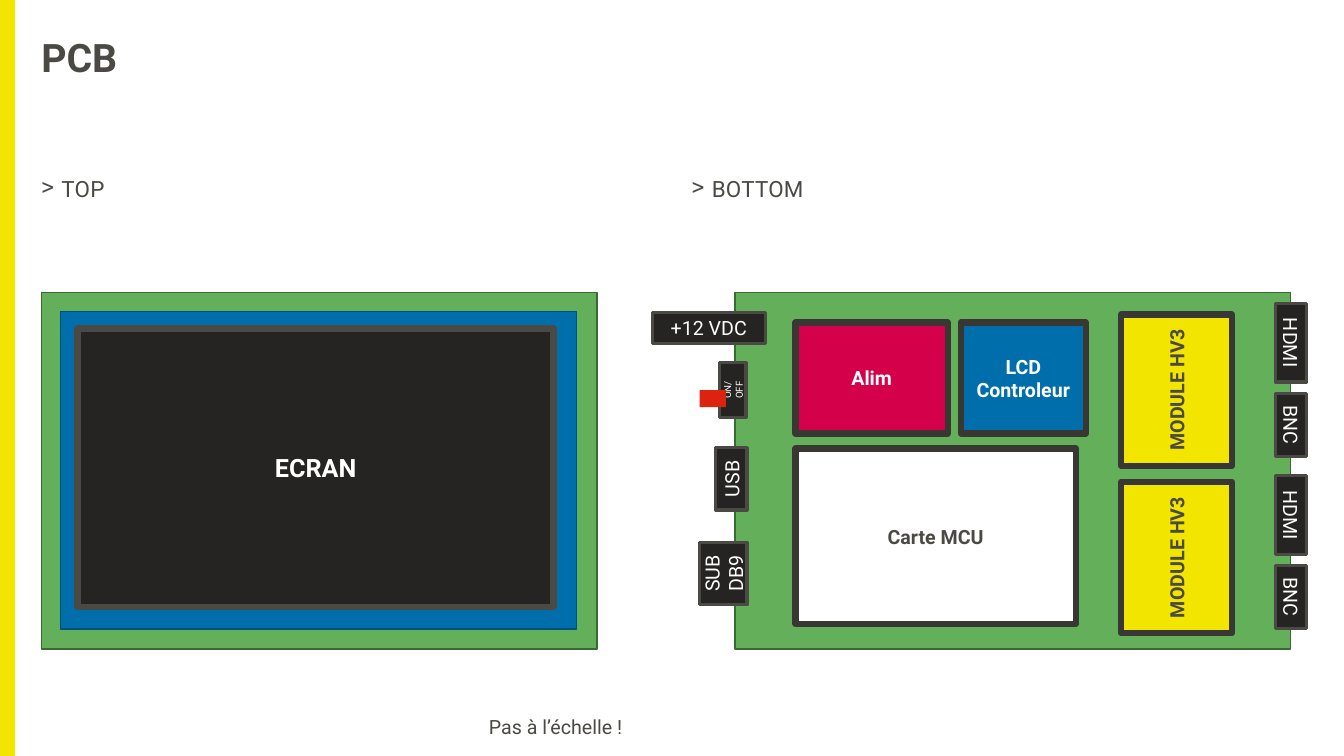
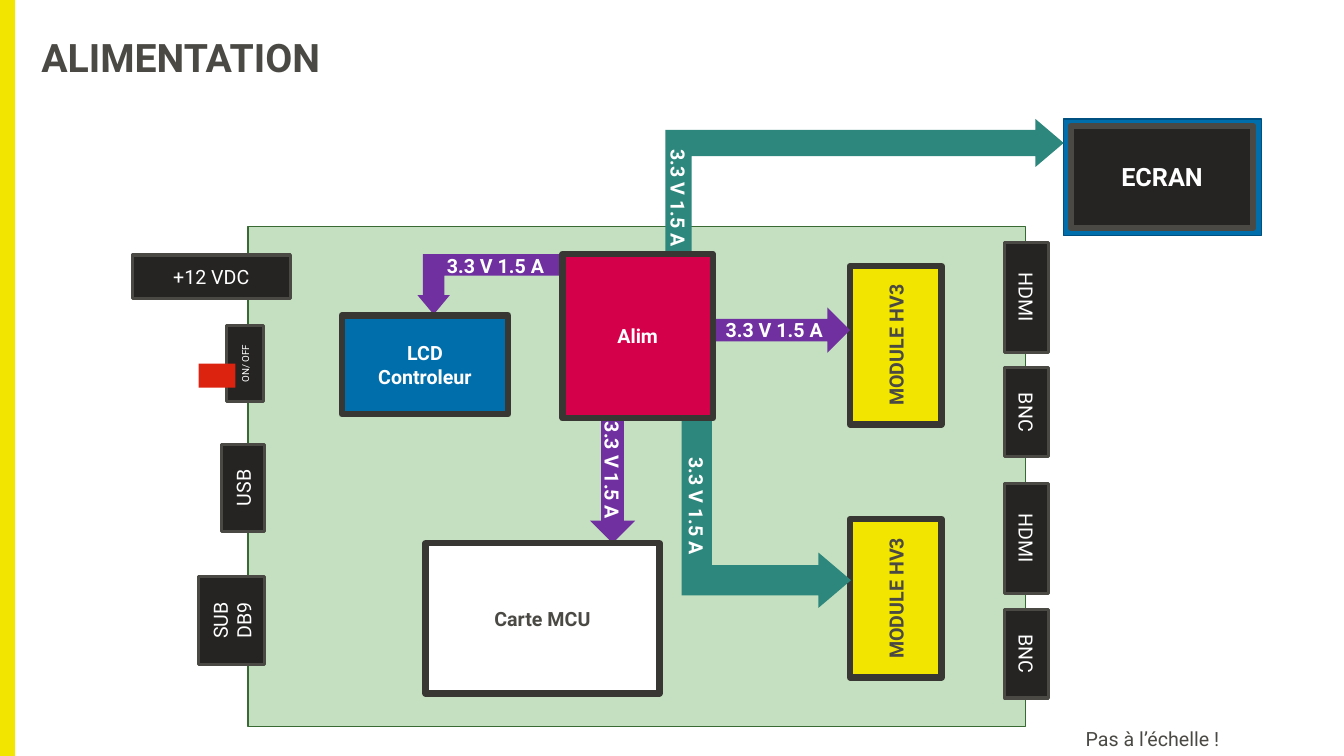
from pptx import Presentation
from pptx.dml.color import RGBColor
from pptx.enum.shapes import MSO_SHAPE
from pptx.enum.text import MSO_ANCHOR, MSO_AUTO_SIZE, PP_ALIGN
from pptx.oxml import parse_xml
from pptx.oxml.ns import nsdecls, qn
from pptx.util import Inches, Pt

FONT = "Roboto"
WHITE, TEXT, DARK, EDGE = "FFFFFF", "4A4944", "252422", "383733"
GREEN, GREEN_EDGE, BLUE, BLUE_EDGE = "64AF5A", "3A6A34", "006EAA", "005082"
YELLOW, PINK, RED, PURPLE, TEAL = "F2E500", "D4004A", "DC230F", "7030A0", "2D877C"
SUPPLY = "3.3 V 1.5 A"
TEAL_BEND = (0.178, 0.163, 0.192)
PURPLE_BEND = (0.356, 0.268, 0.321)


def rgb(value):
    """Turn a hex string into a colour."""
    return RGBColor.from_string(value)


def style(p, size, color, bold=False, align=None):
    """Format one paragraph."""
    p.font.name, p.font.size, p.font.bold = FONT, Pt(size), bold
    p.font.color.rgb = rgb(color)
    if align is not None:
        p.alignment = align


def no_margins(tf):
    """Remove the insets of a text frame."""
    tf.margin_left = tf.margin_top = tf.margin_right = tf.margin_bottom = 0


def box(shapes, frame, fill, line=None, weight=1, text="", size=14, color=WHITE,
        bold=True, rot=0, kind=MSO_SHAPE.RECTANGLE):
    """Draw a shape that fills the visible frame after it is turned by rot."""
    x, y, w, h = frame
    if rot % 180:
        x, y, w, h = x + (w - h) / 2, y + (h - w) / 2, h, w
    sp = shapes.add_shape(kind, Inches(x), Inches(y), Inches(w), Inches(h))
    sp.rotation = rot
    sp.shadow.inherit = False
    sp.fill.solid()
    sp.fill.fore_color.rgb = rgb(fill)
    if line:
        sp.line.color.rgb = rgb(line)
        sp.line.width = Pt(weight)
    else:
        sp.line.fill.background()
    if text:
        sp.text_frame.text = text
        for p in sp.text_frame.paragraphs:
            style(p, size, color, bold, PP_ALIGN.CENTER)
    return sp


def module(s, frame, fill, text, color=WHITE, rot=0):
    """Draw a circuit block with a thick edge."""
    return box(s.shapes, frame, fill, EDGE, 4.5, text, color=color, rot=rot)


def hv_modules(s, x, tops, w, h):
    """Draw the high-voltage modules in a column."""
    for y in tops:
        module(s, (x, y, w, h), YELLOW, "MODULE HV3", TEXT, 270)


def arrow(s, frame, fill, kind, rot=0, text=SUPPLY, bend=(), flip=False):
    """Draw a supply arrow, bent if bend gives its proportions."""
    sp = box(s.shapes, frame, fill, text=text, rot=rot, kind=kind)
    for i, value in enumerate(bend):
        sp.adjustments[i] = value
    if flip:
        sp.element.spPr.find(qn("a:xfrm")).set("flipH", "1")


def screen(shapes, frame, gaps):
    """Draw the display on its blue panel, with left, top, right, bottom gaps."""
    x, y, w, h = frame
    left, top, right, bottom = gaps
    box(shapes, frame, BLUE, BLUE_EDGE)
    box(shapes, (x + left, y + top, w - left - right, h - top - bottom),
        DARK, TEXT, 4.5, "ECRAN", 18)


def board(s, x, y, scale=1, opacity=None):
    """Draw the circuit board and the connectors along its sides."""
    def place(left, top, w, h):
        """Scale a frame given from the corner of the board."""
        return x + left * scale, y + top * scale, w * scale, h * scale

    def port(frame, text, rot=0, size=14):
        """Draw one connector."""
        return box(s.shapes, place(*frame), DARK, TEXT, 2.25, text, size,
                   bold=False, rot=rot)

    sp = box(s.shapes, place(0, 0, 5.51, 3.54), GREEN, GREEN_EDGE)
    if opacity:
        clr = sp.element.spPr.find(qn("a:solidFill"))[0]
        clr.append(parse_xml(f'<a:alpha {nsdecls("a")} val="{opacity * 1000}"/>'))
    port((-0.82, 0.2, 1.12, 0.31), "+12 VDC")
    switch = port((-0.15, 0.7, 0.26, 0.54), "ON/ OFF", size=7)
    switch.element.txBody.find(qn("a:bodyPr")).set("vert", "vert270")
    box(s.shapes, place(-0.35, 0.97, 0.26, 0.17), RED)
    port((-0.19, 1.54, 0.31, 0.62), "USB", 270)
    port((-0.35, 2.48, 0.47, 0.62), "SUB\nDB9", 270)
    for top in (0.11, 1.82):
        port((5.36, top, 0.31, 0.78), "HDMI", 90)
        port((5.36, top + 0.89, 0.31, 0.63), "BNC", 90)


def label(s, x, y, w, h, text, size=14, color=TEXT, bold=False, align=None):
    """Add a line of text that does not wrap."""
    tb = s.shapes.add_textbox(Inches(x), Inches(y), Inches(w), Inches(h))
    tf = tb.text_frame
    tf.word_wrap = False
    tf.auto_size = MSO_AUTO_SIZE.SHAPE_TO_FIT_TEXT
    tf.text = text
    style(tf.paragraphs[0], size, color, bold, align)


def heading(s, x, text):
    """Add a view heading with its bullet."""
    tb = s.shapes.add_textbox(Inches(x), Inches(1.74), Inches(6.06), Inches(0.31))
    tf = tb.text_frame
    tf.word_wrap = True
    no_margins(tf)
    tf.text = text
    p = tf.paragraphs[0]
    style(p, 16, TEXT)
    p.space_after = Pt(2)
    ppr = tb.element.txBody.find(".//" + qn("a:pPr"))
    ppr.set("marL", str(Inches(0.2)))
    ppr.set("indent", str(Inches(-0.2)))
    font = ppr.find(qn("a:defRPr"))
    font.set("spc", "20")
    font.addprevious(parse_xml(f'<a:buChar {nsdecls("a")} char="&gt;"/>'))


def add_slide(prs, title):
    """Add a slide with its title."""
    s = prs.slides.add_slide(prs.slide_layouts[5])
    sp = s.shapes.title
    sp.left, sp.top, sp.width, sp.height = map(Inches, (0.41, 0.39, 12.52, 0.4))
    tf = sp.text_frame
    no_margins(tf)
    tf.vertical_anchor = MSO_ANCHOR.MIDDLE
    tf.text = title
    style(tf.paragraphs[0], 28, TEXT, True, PP_ALIGN.LEFT)
    tf.paragraphs[0].line_spacing = 0.9
    return s


def add_side_band(s):
    """Put the yellow side band on the layout of the slide."""
    band = box(s.shapes, (0, 0, 0.15, 7.5), YELLOW)
    s.slide_layout.shapes.element.append(band.element)


def pcb_slide(prs):
    """Show both faces of the board."""
    s = add_slide(prs, "PCB")
    add_side_band(s)
    heading(s, 0.41, "TOP")
    heading(s, 6.86, "BOTTOM")
    box(s.shapes, (0.41, 2.9, 5.51, 3.54), GREEN, GREEN_EDGE)
    screen(s.shapes, (0.6, 3.09, 5.12, 3.15), (0.17, 0.17, 0.23, 0.22))
    board(s, 7.29, 2.9)
    module(s, (7.89, 4.45, 2.78, 1.74), WHITE, "Carte MCU", TEXT)
    hv_modules(s, 11.12, (3.12, 4.78), 1.1, 1.5)
    module(s, (7.89, 3.2, 1.51, 1.1), PINK, "Alim")
    module(s, (9.53, 3.2, 1.24, 1.1), BLUE, "LCD\nControleur")
    label(s, 4.75, 7.04, 1.57, 0.34, "Pas à l’échelle !")


def supply_slide(prs):
    """Show how the power supply feeds each block."""
    s = add_slide(prs, "ALIMENTATION")
    label(s, 10.67, 7.16, 1.57, 0.34, "Pas à l’échelle !")
    board(s, 2.46, 2.25, 1.4, 38)
    hv_modules(s, 8.43, (2.64, 5.15), 0.91, 1.57)
    screen(s.shapes.add_group_shape().shapes, (10.55, 1.18, 1.96, 1.16),
           (0.07, 0.07, 0.08, 0.08))
    straight, bent = MSO_SHAPE.RIGHT_ARROW, MSO_SHAPE.BENT_UP_ARROW
    arrow(s, (7.04, 3.05, 1.39, 0.45), PURPLE, straight)
    arrow(s, (5.85, 4.06, 0.45, 1.33), PURPLE, straight, 90)
    arrow(s, (6.76, 4.14, 1.68, 1.89), TEAL, bent, 90, bend=TEAL_BEND)
    arrow(s, (6.6, 1.18, 3.95, 1.46), TEAL, bent, 90, bend=TEAL_BEND, flip=True)
    arrow(s, (4.14, 2.52, 1.56, 0.6), PURPLE, bent, 180, "", PURPLE_BEND)
    label(s, 4.33, 2.47, 1.17, 0.34, SUPPLY, 14, WHITE, True, PP_ALIGN.CENTER)
    module(s, (3.39, 3.13, 1.65, 0.98), BLUE, "LCD\nControleur")
    module(s, (4.22, 5.39, 2.32, 1.49), WHITE, "Carte MCU", TEXT)
    module(s, (5.58, 2.52, 1.49, 1.63), PINK, "Alim")


def main():
    """Build and save the presentation."""
    prs = Presentation()
    prs.slide_width, prs.slide_height = Inches(13.33), Inches(7.5)
    pcb_slide(prs)
    supply_slide(prs)
    prs.save("out.pptx")


if __name__ == "__main__":
    main()
